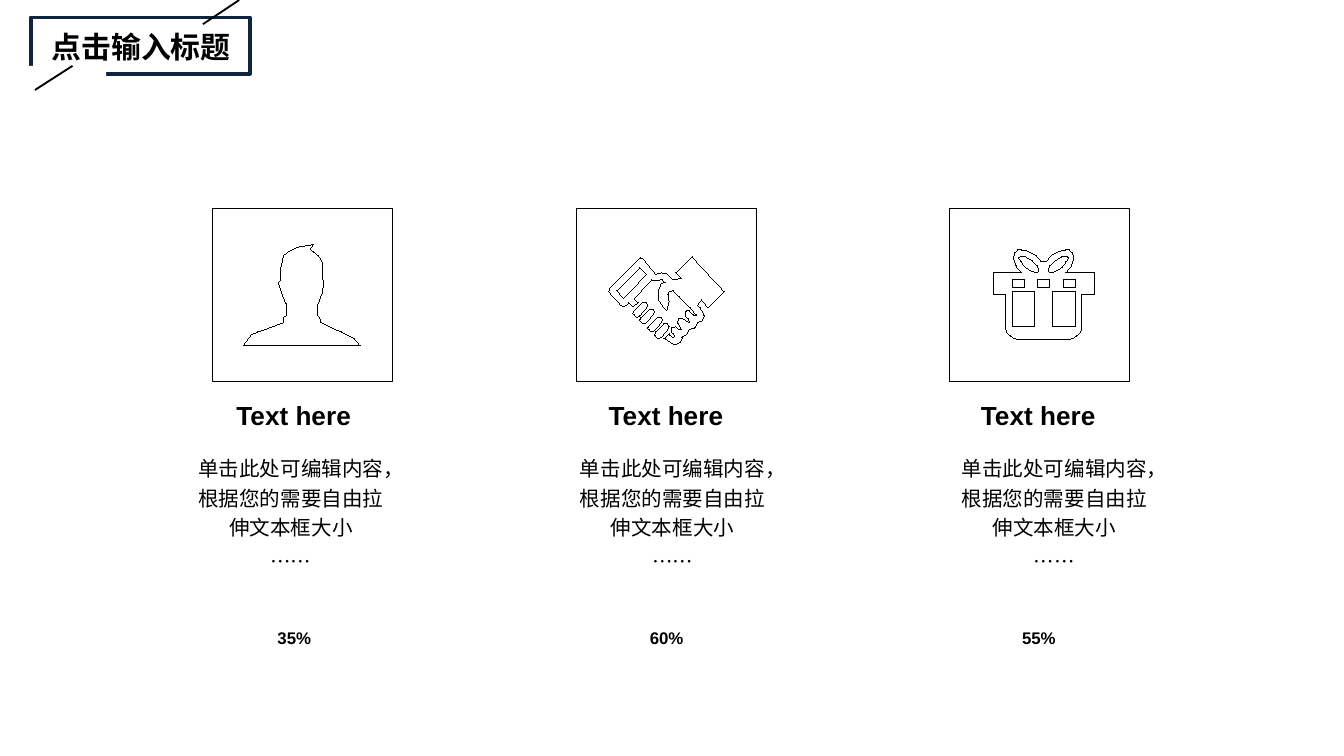
from dataclasses import dataclass

from lxml.etree import SubElement
from pptx import Presentation
from pptx.dml.color import RGBColor
from pptx.enum.shapes import MSO_CONNECTOR as Connector, MSO_SHAPE as Preset
from pptx.enum.text import MSO_ANCHOR as Anchor, PP_ALIGN as Align
from pptx.oxml.ns import qn
from pptx.util import Emu, Pt

EMU_PER_PX = 9144  # 100 px to the inch
COLORS = {"ink": "000000", "navy": "0F243E", "paper": "FFFFFF"}
LATIN, CJK = "Arial", "Noto Sans CJK SC"

Point = tuple[int, int]
Contour = list[Point]


@dataclass(frozen=True)
class Box:
    left: int
    top: int
    width: int
    height: int

    def emu(self) -> list[Emu]:
        return [px(v) for v in (self.left, self.top, self.width, self.height)]


@dataclass(frozen=True)
class Column:
    frame_left: int
    percent: str
    icon: list[Contour]


def px(value: int) -> Emu:
    return Emu(value * EMU_PER_PX)


def color(name: str) -> RGBColor:
    return RGBColor.from_string(COLORS[name])


# Icon geometry
def rectangle(left: int, top: int, right: int, bottom: int) -> Contour:
    return [(left, top), (right, top), (right, bottom), (left, bottom)]


def mirror(points: Contour, axis_sum: int) -> Contour:
    return [(axis_sum - x, y) for x, y in reversed(points)]


def shift(points: Contour, distance: int) -> Contour:
    return [(x + distance, y + distance) for x, y in points]


PERSON = [[
    (268, 257), (181, 257), (184, 253), (187, 249), (192, 247), (203, 243), (211, 240),
    (211, 236), (213, 235), (213, 226), (210, 219), (209, 216), (208, 213), (207, 210),
    (209, 208), (209, 199), (211, 190), (215, 187), (221, 184), (233, 182), (231, 185),
    (233, 187), (237, 190), (240, 195), (240, 207), (241, 210), (240, 217), (238, 223),
    (236, 227), (236, 234), (238, 236), (239, 240), (245, 243), (254, 247), (264, 252),
]]

FINGER = [(481, 225), (478, 225), (472, 231), (471, 233), (472, 234), (474, 236),
          (476, 235), (481, 229), (482, 227)]
HANDS = [
    (515, 191), (503, 203), (507, 207), (503, 208), (501, 208), (497, 204), (492, 203),
    (488, 204), (479, 193), (477, 192), (475, 193), (454, 214), (453, 217), (462, 227),
    (464, 228), (466, 227), (468, 225), (471, 228), (475, 225), (472, 222), (485, 208),
    (485, 209), (488, 209), (489, 209), (492, 208), (493, 208), (495, 210), (492, 211),
    (490, 216), (490, 223), (494, 229), (496, 231), (497, 228), (498, 224), (497, 219),
    (498, 217), (501, 216), (506, 221), (514, 229), (517, 233), (518, 234), (518, 235),
    (517, 235), (516, 234), (513, 231), (511, 231), (510, 232), (510, 235), (512, 237),
    (513, 239), (513, 240), (508, 237), (505, 237), (504, 240), (505, 241), (507, 245),
    (505, 245), (503, 243), (500, 244), (500, 247), (501, 248), (502, 250), (501, 251),
    (498, 249), (498, 248), (494, 252), (495, 252), (501, 256), (503, 256), (506, 255),
    (508, 251), (507, 251), (511, 249), (513, 245), (517, 244), (519, 240), (522, 239),
    (524, 235), (523, 232), (521, 229), (519, 227), (522, 223), (527, 229), (529, 227),
    (539, 217),
]
CUFF = [(464, 222), (459, 216), (476, 199), (481, 204)]
HANDSHAKE = [HANDS, CUFF] + [shift(FINGER, step) for step in (0, 5, 11, 16)]

GIFT_AXIS = 739 + 814
GIFT_HALF = [
    (775, 195), (771, 190), (765, 187), (760, 186), (757, 186), (755, 188), (754, 192),
    (756, 198), (760, 203), (739, 203), (739, 219), (748, 219), (748, 243), (749, 247),
    (752, 250), (755, 252), (759, 253),
]
BOW_LOOP = [(758, 192), (759, 191), (763, 191), (768, 194), (772, 198), (773, 201),
            (773, 202), (771, 203), (768, 202), (763, 199), (760, 195)]
GIFT = [
    GIFT_HALF + mirror(GIFT_HALF, GIFT_AXIS),
    BOW_LOOP, mirror(BOW_LOOP, GIFT_AXIS),
    *(rectangle(left, 208, left + 9, 214) for left in (753, 772, 791)),
    *(rectangle(left, 217, left + 17, 243) for left in (753, 783)),
]

COLUMNS = [Column(158, "35%", PERSON), Column(429, "60%", HANDSHAKE), Column(706, "55%", GIFT)]


# Drawing functions
def add_run(paragraph, text: str, size: int, bold: bool = False, font: str = LATIN) -> None:
    paragraph.alignment = Align.CENTER
    run = paragraph.add_run()
    run.text = text
    run.font.size, run.font.bold, run.font.name = Pt(size), bold, font
    run.font.color.rgb = color("ink")
    SubElement(run._r.get_or_add_rPr(), qn("a:ea")).set("typeface", CJK)


def add_block(slide, preset, box: Box, fill: str | None, line: str | None, weight: float = 0):
    shape = slide.shapes.add_shape(preset, *box.emu())
    shape.shadow.inherit = False
    if fill:
        shape.fill.solid()
        shape.fill.fore_color.rgb = color(fill)
    else:
        shape.fill.background()
    if line:
        shape.line.color.rgb = color(line)
        shape.line.width = Pt(weight)
    else:
        shape.line.fill.background()
    return shape


def add_stroke(slide, start: Point, end: Point) -> None:
    connector = slide.shapes.add_connector(
        Connector.STRAIGHT, *(px(v) for v in (*start, *end)))
    connector.line.color.rgb = color("ink")
    connector.line.width = Pt(1)
    SubElement(connector._element.spPr, qn("a:effectLst"))


def add_icon(slide, contours: list[Contour]) -> None:
    first, *others = contours
    builder = slide.shapes.build_freeform(*first[0], scale=EMU_PER_PX)
    builder.add_line_segments(first[1:], close=True)
    for contour in others:
        builder.move_to(*contour[0])
        builder.add_line_segments(contour[1:], close=True)
    icon = builder.convert_to_shape()
    icon.shadow.inherit = False
    icon.fill.background()
    icon.line.color.rgb = color("ink")
    # Without the theme style the outline is a hairline
    icon._element.remove(icon._element.find(qn("p:style")))


def add_text_frame(slide, box: Box):
    frame = slide.shapes.add_textbox(*box.emu()).text_frame
    frame.word_wrap = True
    return frame


def add_column(slide, index: int, column: Column) -> None:
    # Description
    frame = add_text_frame(slide, Box(132 + 284 * index, 331, 169, 103))
    lines = ("单击此处可编辑内容，根据您的需要自由拉伸文本框大小", "……")
    for number, text in enumerate(lines):
        paragraph = frame.add_paragraph() if number else frame.paragraphs[0]
        paragraph.line_spacing = 1.2
        paragraph.space_before = Pt(2.2)
        add_run(paragraph, text, 11, font=CJK)

    # Percentage and heading
    badge = add_block(slide, Preset.ROUNDED_RECTANGLE,
                      Box(192 + 277 * index, 455, 54, 39), "paper", None)
    badge.text_frame.vertical_anchor = Anchor.MIDDLE
    add_run(badge.text_frame.paragraphs[0], column.percent, 9, bold=True)
    heading = add_text_frame(slide, Box(139 + 277 * index, 289, 159, 40))
    heading.vertical_anchor = Anchor.MIDDLE
    add_run(heading.paragraphs[0], "Text here", 14, bold=True)

    # Framed icon
    add_block(slide, Preset.RECTANGLE, Box(column.frame_left, 155, 134, 129),
              "paper", "ink", 0.25)
    add_icon(slide, column.icon)


def main() -> None:
    presentation = Presentation()
    presentation.slide_width = px(1000)
    presentation.slide_height = Emu(px(1000) * 9 // 16)
    slide = presentation.slides.add_slide(presentation.slide_layouts[5])

    # Title with its open frame and slanted strokes
    title = slide.shapes.title
    title.left, title.top, title.width, title.height = Box(-5, 16, 220, 37).emu()
    title.text_frame.vertical_anchor = Anchor.MIDDLE
    add_run(title.text_frame.paragraphs[0], "点击输入标题", 16, bold=True)
    add_block(slide, Preset.RECTANGLE, Box(23, 13, 163, 42), None, "navy", 2)
    add_block(slide, Preset.RECTANGLE, Box(0, 49, 79, 8), "paper", None)
    add_stroke(slide, (178, 0), (151, 18))
    add_stroke(slide, (54, 49), (26, 67))

    for index, column in enumerate(COLUMNS):
        add_column(slide, index, column)
    presentation.save("out.pptx")


if __name__ == "__main__":
    main()
